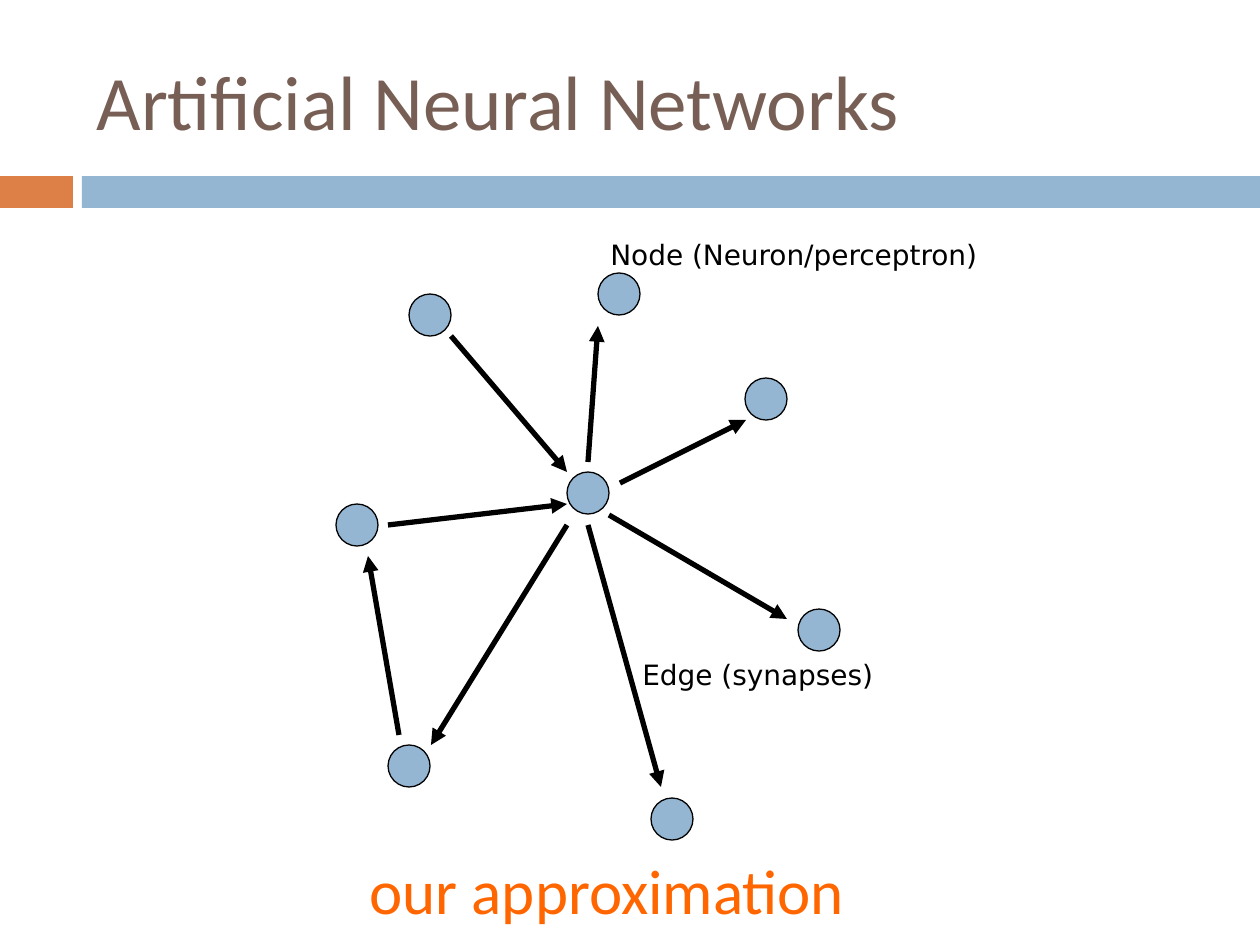
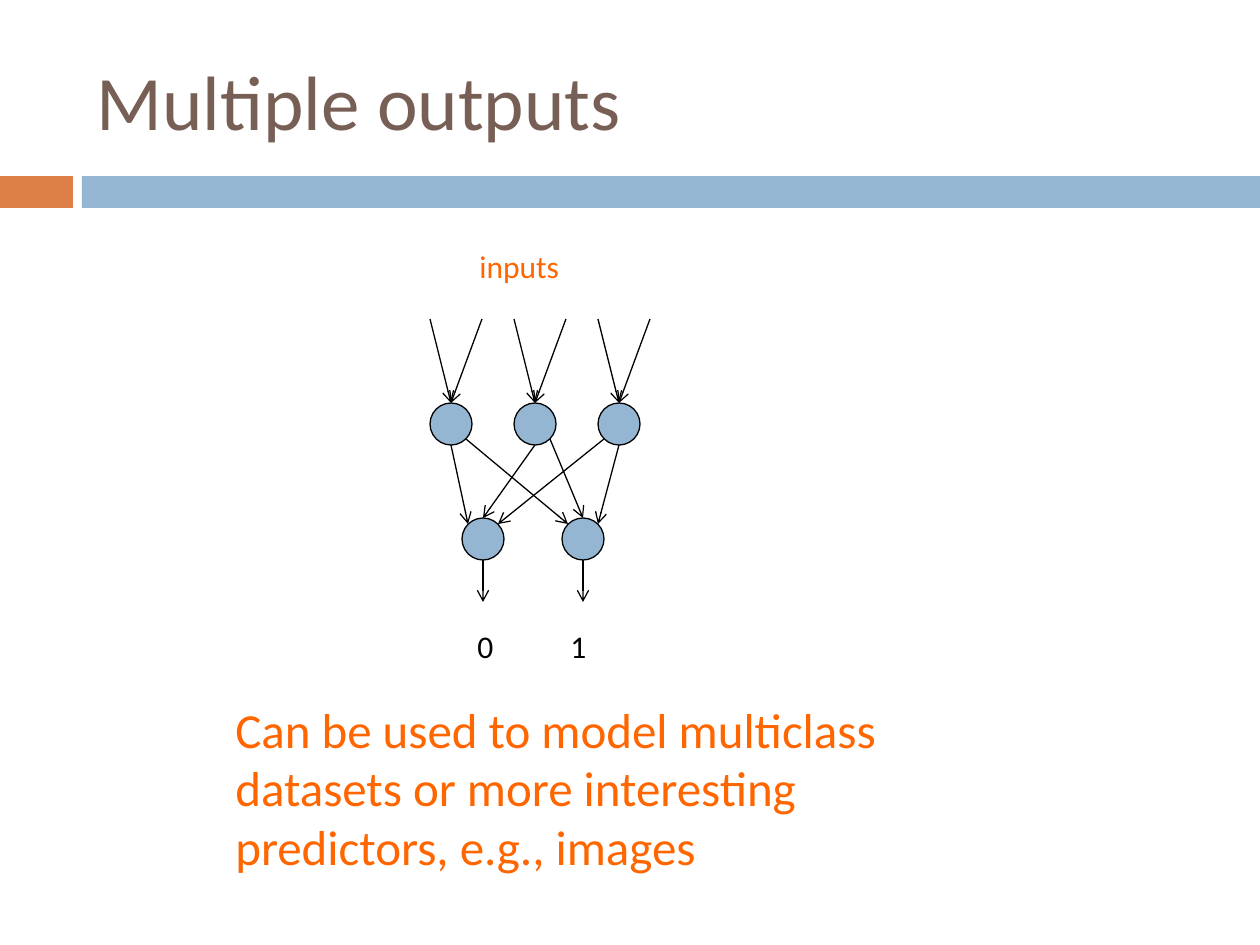
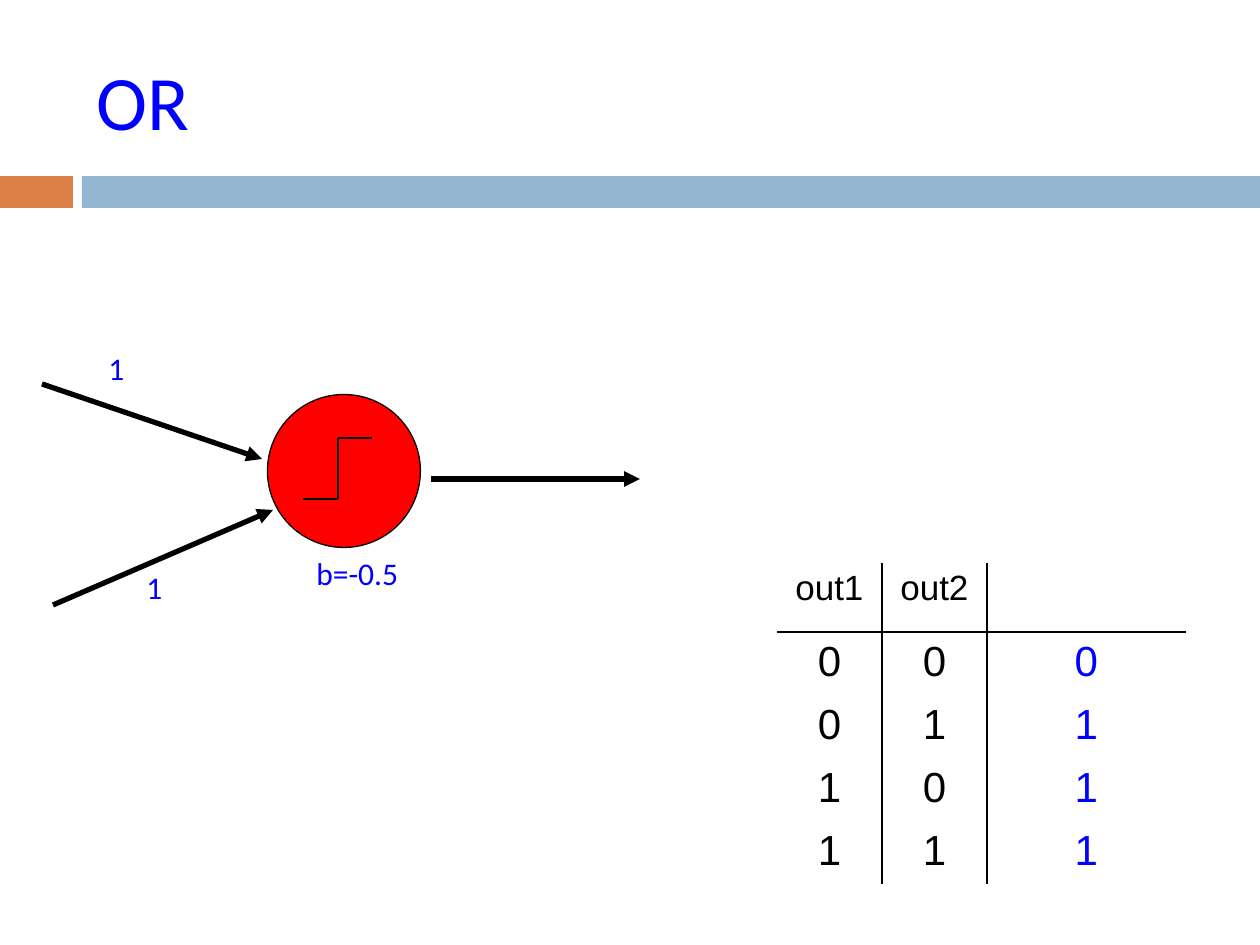
from lxml import etree
from pptx import Presentation
from pptx import util as u
from pptx.dml import color as dml
from pptx.enum import shapes, text
from pptx.oxml import ns

SCALE = u.Inches(1) / 126
BLACK, BLUE, RED, ORANGE = "000000", "0000FF", "FF0000", "FF6600"
SKY, RUST, BROWN = "94B6D2", "DD8047", "775F55"
LEFT, CENTER = text.PP_ALIGN.LEFT, text.PP_ALIGN.CENTER
NODE = 42


def px(*lengths):
    return [u.Emu(round(length * SCALE)) for length in lengths]


def rgb(value):
    return dml.RGBColor.from_string(value)


def apply(target, values):
    for name, value in values.items():
        setattr(target, name, value)


def child(parent, tag, **attributes):
    return etree.SubElement(parent, ns.qn(tag), attributes)


def write(frame, words, size, color, font="Calibri", align=LEFT):
    paragraph = frame.paragraphs[0]
    paragraph.text = words
    apply(paragraph, {"alignment": align})
    apply(paragraph.font, {"size": u.Pt(size), "name": font})
    paragraph.font.color.rgb = rgb(color)


def add_label(slide, box, words, size=18, color=BLACK, font="Calibri", wrap=True):
    frame = slide.shapes.add_textbox(*px(*box)).text_frame
    frame.word_wrap = wrap
    write(frame, words, size, color, font)


def add_filled(slide, kind, box, fill, outline=None):
    shape = slide.shapes.add_shape(kind, *px(*box))
    shape.shadow.inherit = False
    shape.fill.solid()
    shape.fill.fore_color.rgb = rgb(fill)
    if outline:
        shape.line.color.rgb = rgb(outline)
        shape.line.width = u.Pt(0.75)
    else:
        shape.line.fill.background()


def add_node(slide, x, y, diameter=NODE, fill=SKY):
    corner = x - diameter / 2, y - diameter / 2
    add_filled(slide, shapes.MSO_SHAPE.OVAL, (*corner, diameter, diameter), fill, BLACK)


def add_line(slide, start, end, width, head=None):
    line = slide.shapes.add_connector(shapes.MSO_CONNECTOR.STRAIGHT, *px(*start, *end))
    line.line.color.rgb = rgb(BLACK)
    line.line.width = u.Pt(width)
    if head:
        child(line.line._get_or_add_ln(), "a:tailEnd", type=head)
    child(line._element.spPr, "a:effectLst")


def start_slide(deck, heading, color=BROWN):
    slide = deck.slides.add_slide(deck.slide_layouts[5])
    for left, width, fill in ((0, 73, RUST), (82, 1178, SKY)):
        add_filled(slide, shapes.MSO_SHAPE.RECTANGLE, (left, 176, width, 32), fill)
    title = slide.shapes.title
    apply(title, dict(zip(("left", "top", "width", "height"), px(84, 32, 1124, 136))))
    apply(title.text_frame, {
        "vertical_anchor": text.MSO_ANCHOR.MIDDLE,
        "auto_size": text.MSO_AUTO_SIZE.NONE,
        "word_wrap": True,
    })
    write(title.text_frame, heading, 44, color)
    return slide


def draw_neuron_graph(slide, left, top):
    neurons = ((283, 63), (94, 84), (483, 399), (430, 168),
               (252, 262), (336, 588), (21, 294), (73, 535))
    synapses = (
        ((115, 105), (231, 241)), ((52, 294), (231, 273)),
        ((252, 231), (262, 95)), ((284, 252), (410, 189)),
        ((273, 284), (451, 388)), ((252, 294), (325, 556)),
        ((231, 294), (95, 514)), ((63, 504), (32, 325)),
    )
    for x, y in neurons:
        add_node(slide, left + x, top + y)
    for start, end in synapses:
        add_line(slide, *((left + x, top + y) for x, y in (start, end)), 3, "triangle")
    for x, y, width, words in ((262, 0, 504, "Node (Neuron/perceptron)"),
                               (294, 420, 336, "Edge (synapses)")):
        add_label(slide, (left + x, top + y, width, 47), words, 16, font="DejaVu Sans")


def draw_layers(slide, left, top):
    hidden = [(left + 21 + 84 * i, top + 183) for i in range(3)]
    outputs = [(left + x, top + 298) for x in (53, 153)]
    sites = {"top": (0, -21), "bottom": (0, 21),
             "upper left": (-15, -15), "upper right": (15, -15),
             "lower left": (-15, 15), "lower right": (15, 15)}
    links = (
        (0, "bottom", 0, "upper left"), (1, "bottom", 0, "top"),
        (2, "lower left", 0, "upper right"), (0, "lower right", 1, "upper left"),
        (1, "lower right", 1, "top"), (2, "bottom", 1, "upper right"),
    )

    def site(center, name):
        return tuple(a + b for a, b in zip(center, sites[name]))

    add_label(slide, (left + 37, top, 105, 50), "inputs", color=ORANGE)
    for center in hidden + outputs:
        add_node(slide, *center)
    for center in hidden:
        for shift in (-21, 31):
            add_line(slide, (center[0] + shift, top + 78), site(center, "top"), 0.75, "arrow")
    for source, leave, target, arrive in links:
        add_line(slide, site(hidden[source], leave), site(outputs[target], arrive), 0.75, "arrow")
    for center, x, words in zip(outputs, (35, 128), "01"):
        start = site(center, "bottom")
        add_line(slide, start, (start[0], top + 361), 0.75, "arrow")
        add_label(slide, (left + x, top + 380, 43, 50), words, wrap=False)


def draw_threshold_unit(slide, left, top):
    add_node(slide, left + 302, top + 128, 153, RED)
    for x1, y1, x2, y2 in ((0, 41, 220, 116), (11, 262, 231, 167), (389, 136, 598, 136)):
        add_line(slide, (left + x1, top + y1), (left + x2, top + y2), 3, "triangle")
    step = [(left + x, top + y) for x, y in ((330, 95), (296, 95), (296, 156), (261, 156))]
    for start, end in zip(step, step[1:]):
        add_line(slide, start, end, 1.5)
    for x, y, width, words in ((54, 0, 40, "1"), (92, 219, 40, "1"), (262, 205, 117, "b=-0.5")):
        add_label(slide, (left + x, top + y, width, 50), words, color=BLUE)


def set_borders(cell, drawn):
    properties = cell._tc.get_or_add_tcPr()
    for edge in "LRTB":
        if edge in drawn:
            line = child(properties, f"a:ln{edge}", w=str(u.Pt(1)))
            child(child(line, "a:solidFill"), "a:srgbClr", val=BLACK)
        else:
            child(child(properties, f"a:ln{edge}", w="0"), "a:noFill")


def draw_truth_table(slide, left, top):
    rows = [("out1", "out2", "")] + [(a, b, str(int(a) | int(b))) for a in "01" for b in "01"]
    widths, heights = (105, 105, 199), (69, 63, 63, 63, 63)
    box = px(left, top, sum(widths), sum(heights))
    table = slide.shapes.add_table(len(rows), len(widths), *box).table
    apply(table, {"first_row": False, "horz_banding": False})
    for column, width in zip(table.columns, px(*widths)):
        column.width = width
    for r, (row, height) in enumerate(zip(rows, px(*heights))):
        table.rows[r].height = height
        for c, words in enumerate(row):
            cell = table.cell(r, c)
            set_borders(cell, ("R", "LR", "L")[c] + {0: "B", 1: "T"}.get(r, ""))
            cell.fill.background()
            write(cell.text_frame, words, 24 if r else 20, BLUE if c == 2 else BLACK,
                  "Arial", CENTER)


def main():
    deck = Presentation()
    deck.slide_width, deck.slide_height = px(1260, 945)

    networks = start_slide(deck, "Artificial Neural Networks")
    draw_neuron_graph(networks, 336, 231)
    add_label(networks, (357, 845, 620, 89), "our approximation", 36, ORANGE)

    multiple = start_slide(deck, "Multiple outputs")
    draw_layers(multiple, 430, 241)
    add_label(multiple, (223, 693, 678, 190),
              "Can be used to model multiclass datasets or more interesting "
              "predictors, e.g., images", 28, ORANGE)

    either = start_slide(deck, "OR", BLUE)
    draw_threshold_unit(either, 42, 343)
    draw_truth_table(either, 777, 563)

    deck.save("out.pptx")


if __name__ == "__main__":
    main()
